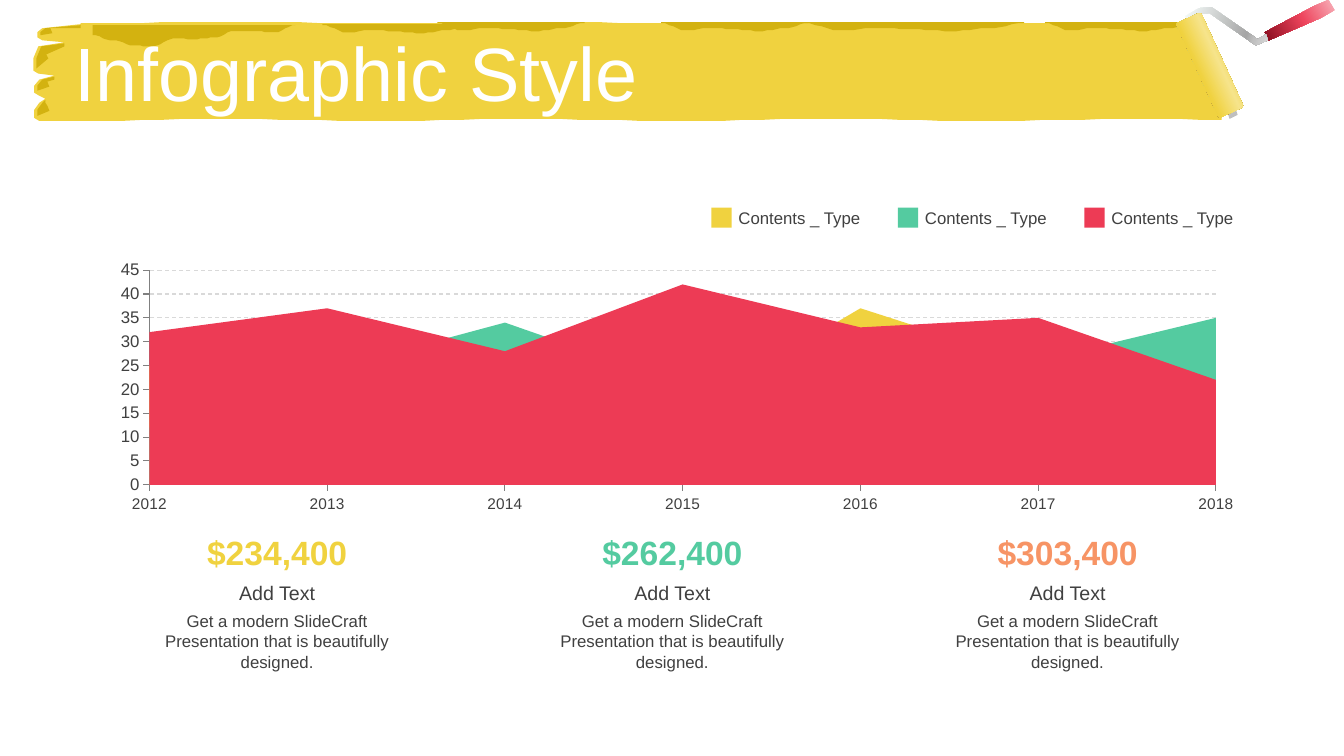
from math import cos, hypot, pi, sin
from lxml.etree import SubElement
from pptx import Presentation
from pptx.chart.data import CategoryChartData
from pptx.dml.color import RGBColor
from pptx.enum.chart import XL_CHART_TYPE, XL_TICK_MARK
from pptx.enum.dml import MSO_LINE
from pptx.enum.shapes import MSO_SHAPE
from pptx.enum.text import MSO_ANCHOR, PP_ALIGN
from pptx.oxml.ns import qn
from pptx.util import Cm, Pt

THEME = dict(
    font="Arial", ink="404040", white="FFFFFF", grid="D9D9D9", axis="808080",
    gold="F0D23F", dark="D3B210", mint="54CBA0", red="ED3B55", peach="F79465", grey="BFBFBF",
    title=54, amount=24, head=14, body=12, year=11,
    grip=[(0, "F8B1BB"), (46, "EE455D"), (100, "880C1E")],
    rod=[(0, "F6FCFA"), (74, "A6A6A6"), (83, "BFBFBF"), (100, "D9D9D9")],
    roll=[(0, "8D770B"), (11, "D3B210"), (23, "F0D23F"), (41, "F6E48C"),
          (62, "F0D23F"), (84, "D3B210"), (100, "8D770B")],
)

TITLE = "Infographic Style"
LABEL = "Contents _ Type"
KEYS = ["gold", "mint", "red"]
YEARS = ["2012", "2013", "2014", "2015", "2016", "2017", "2018"]
SERIES = [
    ("Series 1", "red", [32, 37, 28, 42, 33, 35, 22]),
    ("Series 2", "mint", [12, 24, 34, 21, 28, 26, 35]),
    ("Series 3", "gold", [25, 19, 19, 15, 37, 25, 15]),
]
HEAD = "Add Text"
BODY = "Get a modern SlideCraft Presentation that is beautifully designed."
FACTS = [("$234,400", "gold"), ("$262,400", "mint"), ("$303,400", "peach")]

UNIT = Cm(2.54) / 100
EDGE = dict(left=80, top=22.5, low=119, right=1172, foot=1212, wave=1, length=300, step=20)
BRISTLES = [
    dict(tip=34, root=45, top=98, low=120),
    dict(tip=34, root=54, top=75, low=95),
    dict(tip=33, root=64, top=42, low=73),
    dict(tip=37, root=80, top=24, low=40),
]
POOL = [10, 15, 20, 21, 13, 14, 12, 6, 6, 7, 0]
DRIP = [1, 8, 6, 7, 9, 6, 1]
DRIPS = [
    dict(left=92, top=25, width=201, depths=POOL),
    dict(left=320, top=24, width=146, depths=DRIP),
    dict(left=434, top=22, width=146, depths=DRIP),
    dict(left=656, top=22, width=146, depths=DRIP),
    dict(left=797, top=22, width=219, depths=DRIP),
    dict(left=1037, top=22, width=146, depths=DRIP),
]
TOOL = [
    dict(line=[(1257, 36), (1307, 12), (1321, 5)], halves=[4, 7, 6], fill="grip", turn=150),
    dict(line=[(1178, 19), (1191, 11), (1201, 10), (1247, 42), (1257, 37)], halves=[3] * 5,
         fill="rod", turn=20),
    dict(line=[(1219, 115), (1227, 111)], halves=[3, 3], fill="grey", turn=0),
]

deck = Presentation()
deck.slide_width, deck.slide_height = Cm(33.87), Cm(19.05)
slide = deck.slides.add_slide(deck.slide_layouts[6])
shapes = slide.shapes


def tint(name):
    return RGBColor.from_string(THEME[name])


def paint(shape, fill, turn=0):
    shape.shadow.inherit = False
    shape.line.fill.background()
    if isinstance(THEME[fill], str):
        shape.fill.solid()
        shape.fill.fore_color.rgb = tint(fill)
        return
    shape.fill.gradient()
    grad = shape._element.spPr.find(qn("a:gradFill"))
    stops = grad.find(qn("a:gsLst"))
    for stop in list(stops):
        stops.remove(stop)
    for spot, shade in THEME[fill]:
        stop = SubElement(stops, qn("a:gs"), pos=str(spot * 1000))
        SubElement(stop, qn("a:srgbClr"), val=shade)
    grad.find(qn("a:lin")).set("ang", str(turn * 60000))


def trace(points, fill, turn=0):
    pen = shapes.build_freeform(*points[0], scale=UNIT)
    pen.add_line_segments(points[1:], close=True)
    paint(pen.convert_to_shape(), fill, turn)


def ripple(start, end, level):
    count = round((end - start) / EDGE["step"])
    places = [start + (end - start) * i / count for i in range(count + 1)]
    return [(x, level + EDGE["wave"] * sin(2 * pi * x / EDGE["length"])) for x in places]


def bristle(tip, root, top, low):
    return [(tip + 5, low), (tip, low - 3), (tip, (top + low) / 2), (tip + 5, top + 4),
            (root, top)]


def smear(tip, root, top, low):
    middle = (top + low) / 2
    outer = [(tip + 3, low - 5), (tip + 3, middle), (tip + 8, top + 4), (root, top + 1)]
    inner = [(root, top + 4), (tip + 13, middle - 4), (tip + 15, middle + 1)]
    return outer + inner


def stroke():
    top = ripple(EDGE["left"], EDGE["right"], EDGE["top"])
    low = ripple(EDGE["left"], EDGE["foot"], EDGE["low"])
    teeth = [point for tooth in BRISTLES for point in bristle(**tooth)]
    return top + [(EDGE["foot"], 108)] + low[::-1] + teeth


def drip(left, top, width, depths, parts=6):
    gap = width / (len(depths) - 1)
    points = [(left + width, top), (left, top)]
    for i, (near, far) in enumerate(zip(depths, depths[1:])):
        for part in range(parts + 1):
            share = part / parts
            ease = (1 - cos(pi * share)) / 2
            points.append((left + gap * (i + share), top + near + (far - near) * ease))
    return points


def band(line, halves):
    upper, lower = [], []
    for i, ((x, y), half) in enumerate(zip(line, halves)):
        (ax, ay), (bx, by) = line[max(i - 1, 0)], line[min(i + 1, len(line) - 1)]
        size = hypot(bx - ax, by - ay)
        dx, dy = half * (by - ay) / size, half * (ax - bx) / size
        upper.append((x + dx, y + dy))
        lower.append((x - dx, y - dy))
    return upper + lower[::-1]


def write(text, box, size="body", color="ink", bold=False, align=PP_ALIGN.LEFT,
          anchor=MSO_ANCHOR.TOP, spacing=None, before=None):
    frame = shapes.add_textbox(*map(Cm, box)).text_frame
    frame.word_wrap = True
    frame.vertical_anchor = anchor
    para = frame.paragraphs[0]
    para.alignment, para.line_spacing, para.space_before = align, spacing, before
    run = para.add_run()
    run.text = text
    style(run.font, size, color, bold)


def style(font, size, color="ink", bold=False):
    font.name, font.size, font.bold = THEME["font"], Pt(THEME[size]), bold
    font.color.rgb = tint(color)


def plot(box):
    data = CategoryChartData()
    data.categories = YEARS
    for name, _, values in SERIES:
        data.add_series(name, values)
    chart = shapes.add_chart(XL_CHART_TYPE.AREA, *map(Cm, box), data).chart
    chart.has_legend = chart.has_title = False
    for series, (_, color, _) in zip(chart.plots[0].series, SERIES):
        series.format.fill.solid()
        series.format.fill.fore_color.rgb = tint(color)
    for axis, size in (chart.category_axis, "year"), (chart.value_axis, "body"):
        style(axis.tick_labels.font, size)
        axis.major_tick_mark = XL_TICK_MARK.OUTSIDE
        axis.minor_tick_mark = XL_TICK_MARK.NONE
        axis.format.line.color.rgb = tint("axis")
    chart.category_axis.has_major_gridlines = False
    scale = chart.value_axis
    scale.minimum_scale, scale.maximum_scale, scale.major_unit = 0, 45, 5
    scale.has_major_gridlines = True
    line = scale.major_gridlines.format.line
    line.color.rgb, line.width, line.dash_style = tint("grid"), Pt(0.75), MSO_LINE.DASH


trace(stroke(), "gold")
for item in DRIPS:
    trace(drip(**item), "dark")
for tooth in BRISTLES:
    trace(smear(**tooth), "dark")
for piece in TOOL:
    trace(band(piece["line"], piece["halves"]), piece["fill"], piece["turn"])
roll = shapes.add_shape(MSO_SHAPE.ROUNDED_RECTANGLE, Cm(29.18), Cm(1.3), Cm(2.62), Cm(0.69))
roll.adjustments[0] = 0.09
roll.rotation = 245.5
roll._element.spPr.find(qn("a:xfrm")).set("flipH", "1")
paint(roll, "roll", 270)

write(TITLE, (1.63, 0.94, 29.92, 2.01), size="title", color="white",
      anchor=MSO_ANCHOR.MIDDLE, spacing=0.9, before=Pt(10))
plot((2.46, 6.45, 29.21, 6.6))

for i, (amount, color) in enumerate(FACTS):
    left = 3.76 + 9.96 * i
    write(amount, (left + 0.81, 13.27, 4.83, 1.27), size="amount", color=color, bold=True,
          align=PP_ALIGN.CENTER, anchor=MSO_ANCHOR.MIDDLE)
    write(HEAD, (left, 14.52, 6.45, 0.86), size="head", align=PP_ALIGN.CENTER)
    write(BODY, (left, 15.27, 6.45, 1.8), align=PP_ALIGN.CENTER)

for i, color in enumerate(KEYS):
    left = 17.93 + 4.7 * i
    key = shapes.add_shape(MSO_SHAPE.RECTANGLE, Cm(left), Cm(5.23), Cm(0.51), Cm(0.51))
    paint(key, color)
    write(LABEL, (left + 0.43, 5.11, 3.63, 0.76), anchor=MSO_ANCHOR.MIDDLE)

deck.save("out.pptx")
